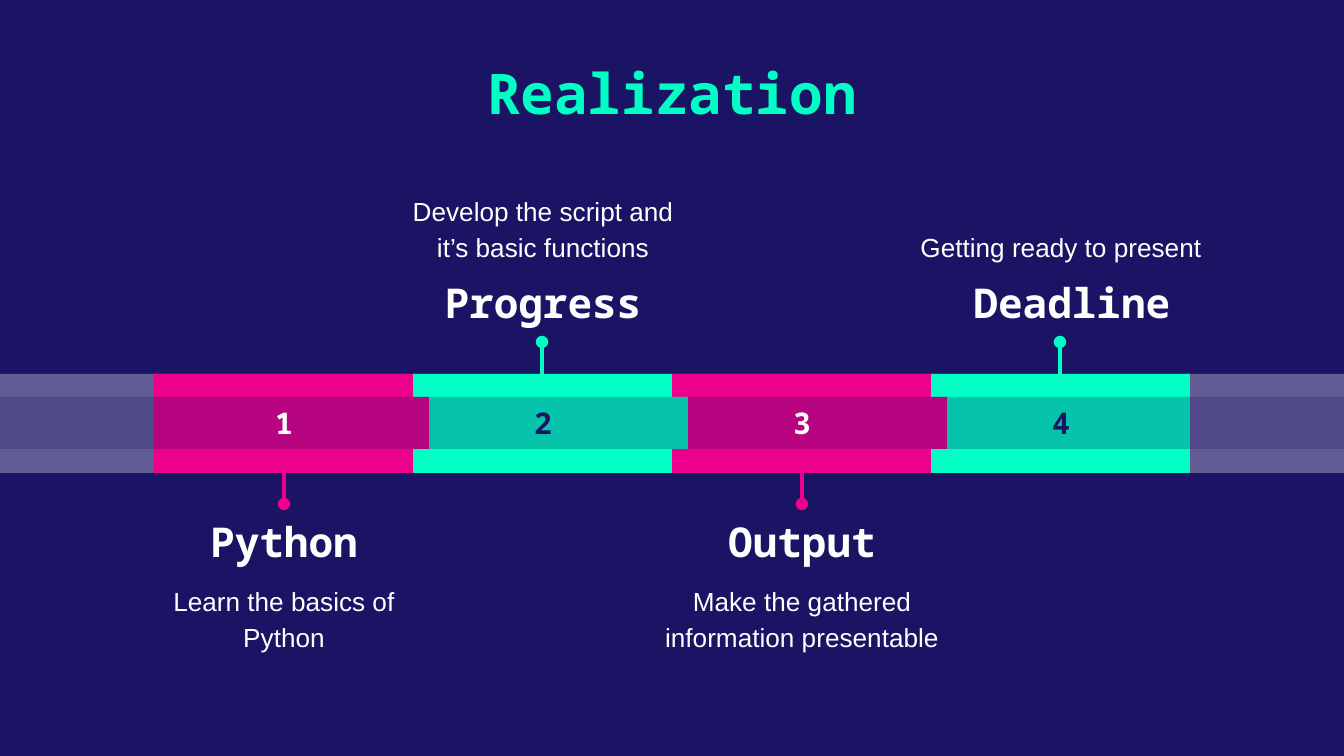
import pptx
import pptx.util
import pptx.dml.color
import pptx.enum.shapes
import pptx.enum.text
import pptx.oxml
import pptx.oxml.ns

RGB = pptx.dml.color.RGBColor
NAVY = RGB(0x1B, 0x14, 0x64)
MINT = RGB(0x00, 0xFF, 0xC5)
PINK = RGB(0xEC, 0x00, 0x8C)
WHITE = RGB(0xFF, 0xFF, 0xFF)

MONO, SANS = "Noto Sans Mono", "Arial"
SCALE = 914400 / 134.4  # EMU in one px
WIDE, HIGH = 1344, 756

TOP, BASE = 374, 473            # whole band
INNER, OUTER = 397, 449         # darker stripe within it
LEFT, STEP, NOTCH = 154, 259, 16
PAD = 13

# name, note, width of the name's box
STEPS = [
    ("Python", "Learn the basics of Python", 310),
    ("Progress", "Develop the script and it’s basic functions", 310),
    ("Output", "Make the gathered information presentable", 310),
    ("Deadline", "Getting ready to present", 332),
]


def px(num):
    return pptx.util.Emu(round(num * SCALE))


def add_xml(parent, tag, **attrs):
    node = pptx.oxml.parse_xml(f"<a:{tag} {pptx.oxml.ns.nsdecls('a')}/>")
    for key, value in attrs.items():
        node.set(key, value)
    parent.append(node)


class Deck:
    """Holds the style and the current slide."""

    def __init__(self):
        self.prs = pptx.Presentation()
        self.prs.slide_width, self.prs.slide_height = px(WIDE), px(HIGH)
        self.slide = self.prs.slides.add_slide(self.prs.slide_layouts[5])
        self.shapes = self.slide.shapes
        fill = self.slide.background.fill
        fill.solid()
        fill.fore_color.rgb = NAVY

    def label(self, shape, text, size, color, font=MONO, pad=0, low=False, space=1):
        frame = shape.text_frame
        frame.word_wrap = True
        frame.auto_size = pptx.enum.text.MSO_AUTO_SIZE.NONE
        anchor = pptx.enum.text.MSO_ANCHOR
        frame.vertical_anchor = anchor.BOTTOM if low else anchor.TOP
        frame.margin_left = frame.margin_right = px(PAD)
        frame.margin_top = frame.margin_bottom = px(pad)
        frame.text = text
        para = frame.paragraphs[0]
        para.alignment = pptx.enum.text.PP_ALIGN.CENTER
        para.line_spacing = float(space)
        para.font.name, para.font.size = font, pptx.util.Pt(size)
        para.font.bold = font == MONO
        para.font.color.rgb = color

    def title(self, text, x, y, w, h):
        shape = self.shapes.title
        shape.left, shape.top, shape.width, shape.height = map(px, (x, y, w, h))
        self.label(shape, text, 30, MINT, pad=PAD)

    def text(self, text, x, y, w, h, size, color=WHITE, **style):
        box = self.shapes.add_textbox(*map(px, (x, y, w, h)))
        self.label(box, text, size, color, **style)

    def paint(self, shape, color, alpha=100):
        shape.shadow.inherit = False
        shape.line.fill.background()
        shape.fill.solid()
        shape.fill.fore_color.rgb = color
        if alpha < 100:
            tint = shape._element.spPr.find(".//" + pptx.oxml.ns.qn("a:srgbClr"))
            add_xml(tint, "alpha", val=str(alpha * 1000))

    def band(self, x, y, w, h, color, alpha=100):
        kind = pptx.enum.shapes.MSO_SHAPE.RECTANGLE
        self.paint(self.shapes.add_shape(kind, *map(px, (x, y, w, h))), color, alpha)

    def block(self, x, color):
        """Draw a step whose inner stripe juts into the next step."""
        end = x + STEP
        outline = self.shapes.build_freeform(x, TOP, scale=SCALE)
        outline.add_line_segments([
            (x, BASE), (end, BASE), (end, OUTER), (end + NOTCH, OUTER),
            (end + NOTCH, INNER), (end, INNER), (end, TOP),
        ])
        self.paint(outline.convert_to_shape(), color)

    def stem(self, x, start, end, color):
        """Draw a line with a dot at its start."""
        kind = pptx.enum.shapes.MSO_CONNECTOR.STRAIGHT
        link = self.shapes.add_connector(kind, *map(px, (x, start, x, end)))
        link.line.width = pptx.util.Pt(2.25)
        link.line.color.rgb = color
        props = link._element.spPr
        add_xml(props.find(pptx.oxml.ns.qn("a:ln")), "headEnd", type="oval")
        add_xml(props, "effectLst")


def main():
    deck = Deck()
    deck.title("Realization", 188, 46, 968, 98)

    deck.band(0, TOP, WIDE, BASE - TOP, WHITE, 31)
    last = len(STEPS) - 1
    deck.band(LEFT + last * STEP, TOP, STEP, BASE - TOP, MINT)
    for i in reversed(range(last)):
        deck.block(LEFT + i * STEP, MINT if i % 2 else PINK)
    deck.band(0, INNER, WIDE, OUTER - INNER, NAVY, 25)

    for i, (name, note, wide) in enumerate(STEPS):
        mid = LEFT + STEP // 2 + 1 + i * STEP
        left = mid - 155
        above = i % 2 == 1
        head, body = (277, 188) if above else (516, 581)
        deck.text(name, left, head, wide, 52, 22)
        deck.text(note, left, body, 310, 75, 14, font=SANS, low=above, space=1.15)
        deck.text(str(i + 1), mid - 115, 392, 230, 52, 16,
                  NAVY if above else WHITE, pad=PAD)
        if above:
            deck.stem(mid - 1, 342, 375, MINT)
        else:
            deck.stem(mid, 504, 471, PINK)

    deck.prs.save("out.pptx")


if __name__ == "__main__":
    main()
